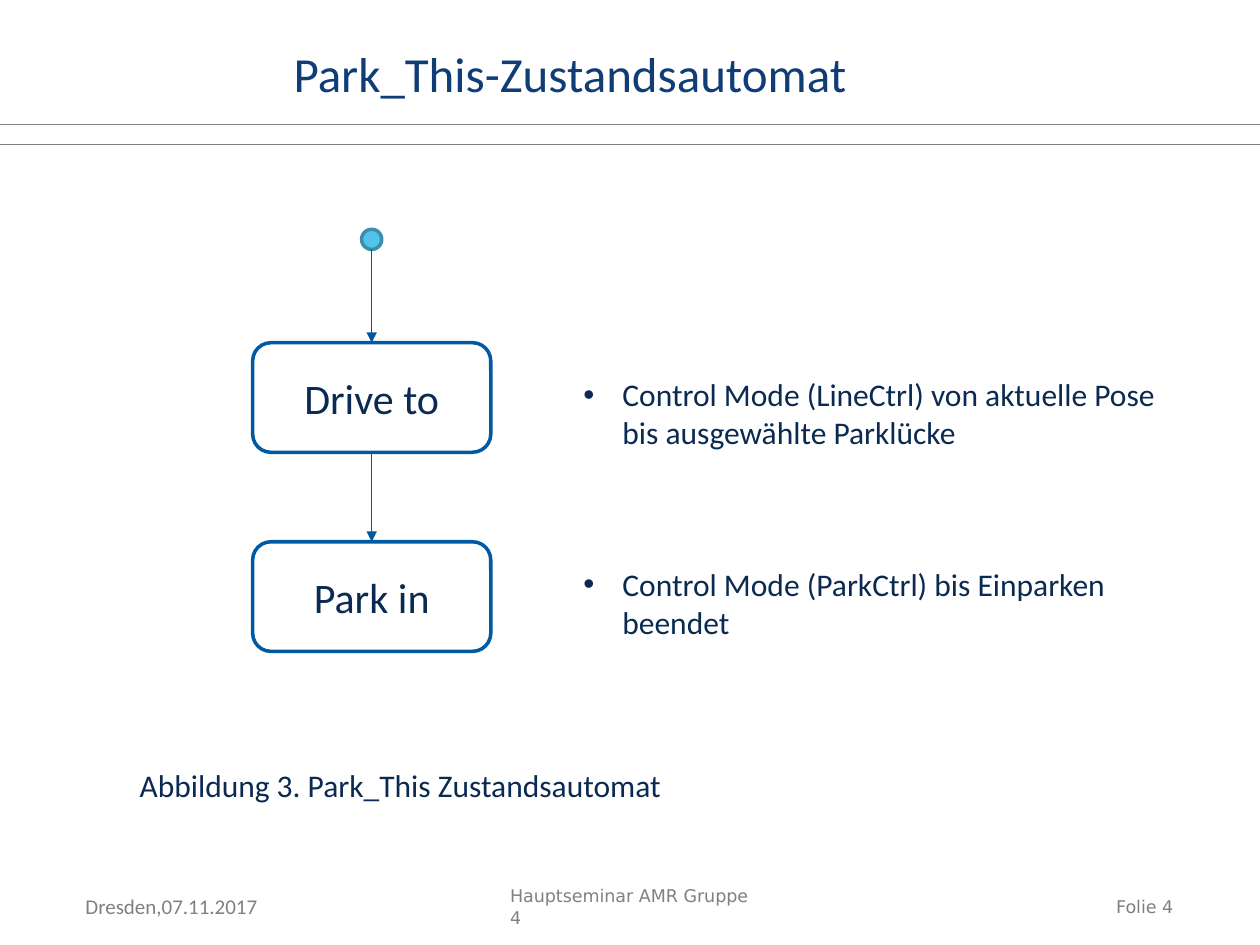
from lxml.etree import SubElement
from pptx import Presentation
from pptx.dml.color import RGBColor
from pptx.enum.shapes import MSO_CONNECTOR, MSO_SHAPE
from pptx.enum.text import MSO_ANCHOR, MSO_AUTO_SIZE, PP_ALIGN
from pptx.oxml.ns import qn
from pptx.util import Inches, Pt

TEXT, GREY, OUTLINE, ARROW = "0B2A51", "808080", "0059A3", "0057A3"
AXIS = 2.95
STATE_WIDTH, STATE_HEIGHT = 1.89, 0.87


def color(value):
    """Turn a hex string into a colour."""
    return RGBColor.from_string(value)


def place(shape, left, top, width, height):
    """Move and size a shape, in inches."""
    shape.left, shape.top = Inches(left), Inches(top)
    shape.width, shape.height = Inches(width), Inches(height)


def format_text(text_frame, size, text_color, align=PP_ALIGN.LEFT,
                anchor=MSO_ANCHOR.TOP, font="Calibri"):
    """Format every run of a text frame alike."""
    text_frame.word_wrap = True
    text_frame.auto_size = MSO_AUTO_SIZE.NONE
    text_frame.vertical_anchor = anchor
    for paragraph in text_frame.paragraphs:
        paragraph.alignment = align
        for run in paragraph.runs:
            run.font.name = font
            run.font.size = Pt(size)
            run.font.color.rgb = color(text_color)


def add_label(slide, text, box, size, text_color, **options):
    """Add a text box."""
    shape = slide.shapes.add_textbox(*map(Inches, box))
    shape.text_frame.text = text
    format_text(shape.text_frame, size, text_color, **options)


def add_line(slide, start, end, line_color, width, arrow=False):
    """Add a straight line, with an arrowhead at its end if wanted."""
    line = slide.shapes.add_connector(
        MSO_CONNECTOR.STRAIGHT, *map(Inches, (*start, *end)))
    line.line.color.rgb = color(line_color)
    line.line.width = Pt(width)
    if arrow:
        SubElement(line.line._get_or_add_ln(), qn("a:tailEnd"), type="triangle")
    SubElement(line._element.spPr, qn("a:effectLst"))


def add_node(slide, kind, box, fill, outline):
    """Add a filled, outlined shape without shadow."""
    shape = slide.shapes.add_shape(kind, *map(Inches, box))
    shape.shadow.inherit = False
    shape.fill.solid()
    shape.fill.fore_color.rgb = color(fill)
    shape.line.color.rgb = color(outline)
    shape.line.width = Pt(2)
    return shape


def add_state(slide, name, top):
    """Add a rounded state box centred on the axis."""
    box = (AXIS - STATE_WIDTH / 2, top, STATE_WIDTH, STATE_HEIGHT)
    state = add_node(slide, MSO_SHAPE.ROUNDED_RECTANGLE, box, "FFFFFF", OUTLINE)
    state.text_frame.text = name
    format_text(state.text_frame, 24, TEXT, PP_ALIGN.CENTER, MSO_ANCHOR.MIDDLE)


def fill_title(title, text):
    """Place and format the title."""
    place(title, 2.33, 0.31, 4.96, 0.53)
    text_frame = title.text_frame
    text_frame.text = text
    text_frame.margin_left = text_frame.margin_right = 0
    text_frame.margin_top = text_frame.margin_bottom = 0
    format_text(text_frame, 28, "103D76", anchor=MSO_ANCHOR.MIDDLE)


def fill_list(body, items, gap):
    """Place and format the bullet list, with a gap in points between items."""
    place(body, 4.53, 2.93, 4.96, 2.2)
    body.text_frame.text = "\n".join(items)
    format_text(body.text_frame, 18, TEXT)
    for index, paragraph in enumerate(body.text_frame.paragraphs):
        paragraph.space_before = Pt(gap if index else 0)
        properties = paragraph._p.get_or_add_pPr()
        properties.set("marL", str(Inches(0.31)))
        properties.set("indent", str(-Inches(0.31)))


def add_footer(slide):
    """Add date, seminar and slide number."""
    add_label(slide, "Dresden,07.11.2017", (0.58, 7.04, 1.67, 0.3), 12, GREY)
    add_label(slide, "Hauptseminar AMR Gruppe 4", (3.95, 7.06, 2.11, 0.27), 10,
              GREY, anchor=MSO_ANCHOR.MIDDLE, font="DejaVu Sans")
    add_label(slide, "Folie 4", (7.52, 7.06, 1.89, 0.29), 10, GREY,
              align=PP_ALIGN.RIGHT, font="DejaVu Sans")


def main():
    """Build the slide with the state machine."""
    presentation = Presentation()
    presentation.slide_width, presentation.slide_height = Inches(10), Inches(7.5)
    slide = presentation.slides.add_slide(presentation.slide_layouts[1])
    fill_title(slide.shapes.title, "Park_This-Zustandsautomat")
    for top in (0.99, 1.15):
        add_line(slide, (0, top), (10, top), GREY, 0.5)

    add_node(slide, MSO_SHAPE.FLOWCHART_CONNECTOR,
             (AXIS - 0.08, 1.82, 0.16, 0.16), "54C3EC", "3B8FAD")
    arrow_start = 1.98
    for name, top in (("Drive to", 2.72), ("Park in", 4.3)):
        add_state(slide, name, top)
        add_line(slide, (AXIS, arrow_start), (AXIS, top), ARROW, 0.75, arrow=True)
        arrow_start = top + STATE_HEIGHT

    fill_list(slide.placeholders[1], (
        "Control Mode (LineCtrl) von aktuelle Pose bis ausgewählte Parklücke",
        "Control Mode (ParkCtrl) bis Einparken beendet"), 65)
    add_label(slide, "Abbildung 3. Park_This Zustandsautomat",
              (1.01, 6.03, 4.5, 0.4), 18, TEXT)
    add_footer(slide)
    presentation.save("out.pptx")


if __name__ == "__main__":
    main()
